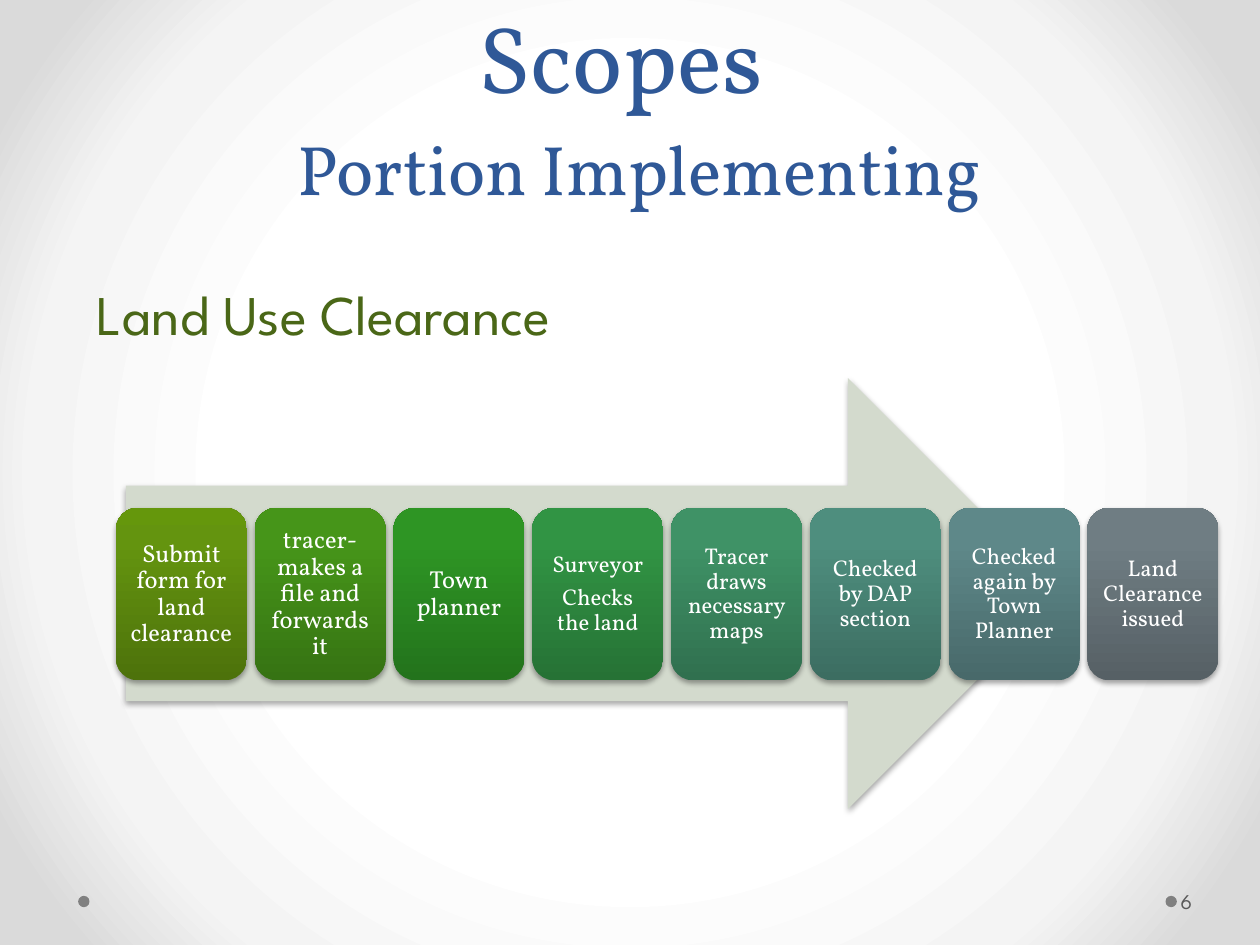
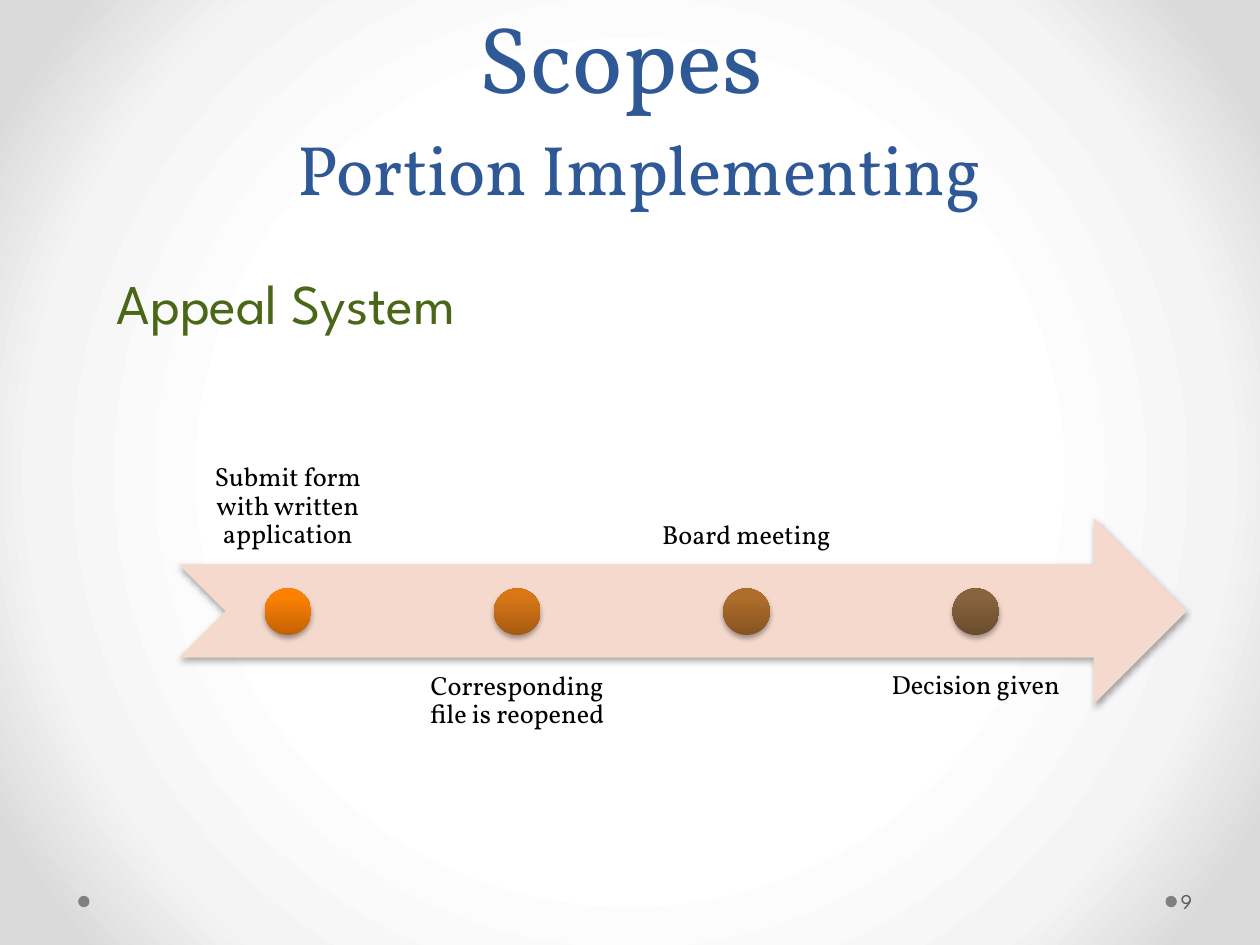
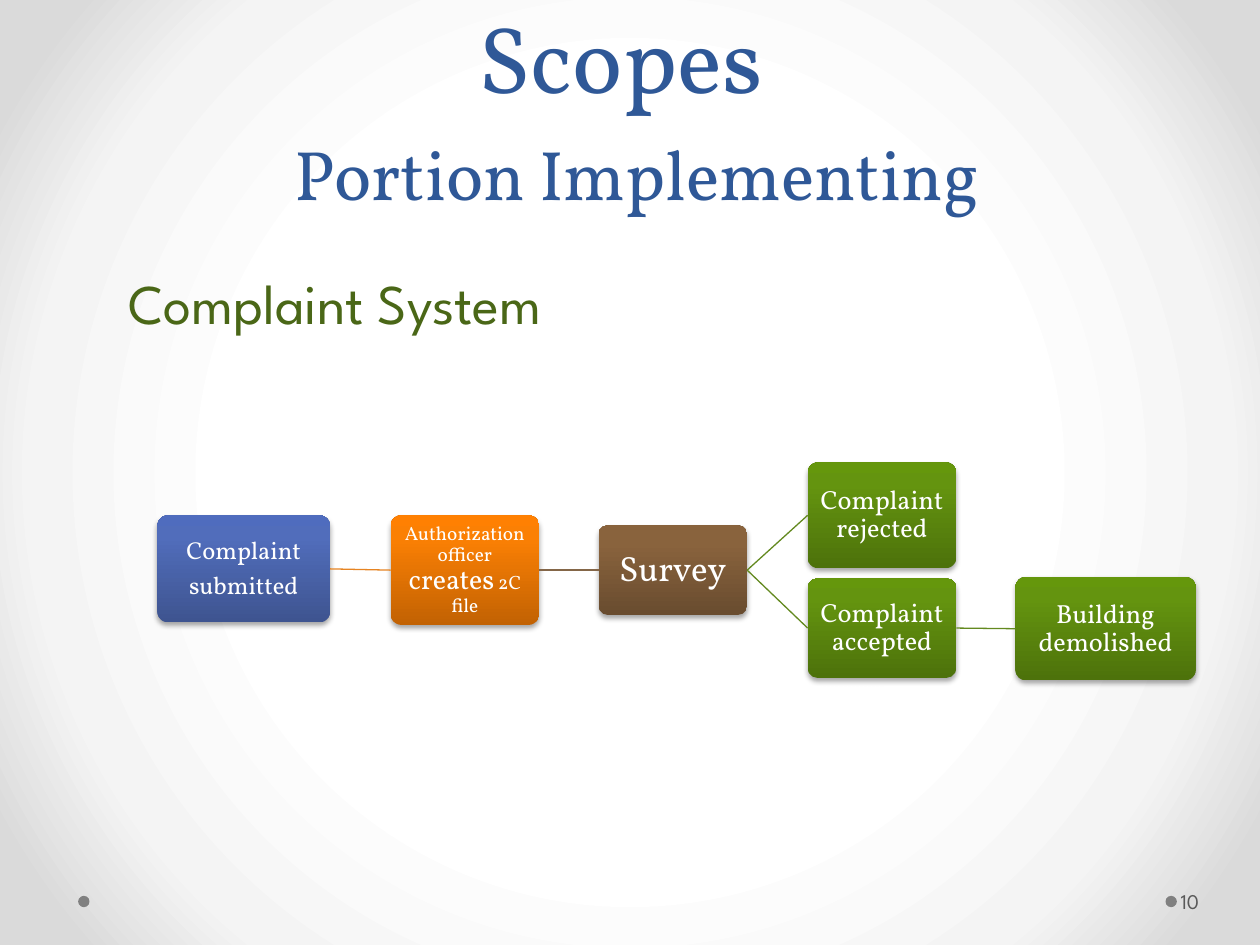
"""Build three slides on implementing land clearance, appeals and complaints."""
import dataclasses

import lxml.etree
import pptx
import pptx.dml.color
import pptx.enum.shapes
import pptx.enum.text
import pptx.oxml
import pptx.oxml.ns
import pptx.util

Inches = pptx.util.Inches
Pt = pptx.util.Pt
SHAPE = pptx.enum.shapes.MSO_SHAPE
ANCHOR = pptx.enum.text.MSO_ANCHOR
ALIGN = pptx.enum.text.PP_ALIGN


@dataclasses.dataclass(frozen=True)
class Theme:
    serif: str = "Vollkorn"
    sans: str = "League Spartan"
    title: str = "2F5897"
    heading: str = "4A6717"
    number: str = "595959"
    dot: str = "808080"
    light: str = "FFFFFF"
    dark: str = "000000"
    step_arrow: str = "D3DACD"
    timeline_arrow: str = "F5D9CD"
    title_size: int = 54
    subtitle_size: int = 40
    title_spacing: int = 58
    heading_size: int = 32
    label_size: int = 15
    number_size: int = 12
    line_width: float = 0.75


THEME = Theme()
BACKGROUND = ((50, "FFFFFF"), (76, "F4F4F4"), (92, "DADADA"))
BLUE = ("3E5490", "516DBB", "4F6CBE")
ORANGE = ("C26203", "FB8004", "FF8002")
BROWN = ("694C2F", "89633D", "8B633C")
GREEN = ("4D720B", "64940F", "65970C")

PAGES = [
    {"number": "6", "heading": "Land Use Clearance", "heading_box": (0.67, 2.17, 5.58, 0.64),
     "title": [("Scopes ", 54), "break", (" ", 54), ("Portion Implementing", 40)]},
    {"number": "9", "heading": "Appeal System", "heading_box": (0.83, 2.08, 3.46, 0.64),
     "title": [("Scopes ", 54), "break", (" ", 54), ("Portion Implementing", 40)]},
    {"number": "10", "heading": "Complaint System", "heading_box": (0.92, 2.08, 4.13, 0.64),
     "title": [("Scopes ", 54), "break", (" Portion Implementing", 40)]},
]
for page_content in PAGES:
    first, last = THEME.title_size, THEME.subtitle_size
    page_content["title"] = [
        part if part == "break" else (part[0], first if part[1] == 54 else last)
        for part in page_content["title"]
    ]

CLEARANCE_STEPS = [
    (["Submit form for land clearance"], 14, GREEN),
    (["tracer-makes a file and forwards it"], 14, ("367313", "469519", "469817")),
    (["Town planner"], 14, ("23731C", "2E9524", "2C9822")),
    (["Surveyor", "Checks the land"], 13, ("267235", "319444", "2F9743")),
    (["Tracer draws necessary maps"], 13, ("30704F", "3F9266", "3D9466")),
    (["Checked by DAP section"], 13, ("3C6D61", "4E8E7E", "4D907F")),
    (["Checked again by Town Planner"], 13, ("48696A", "5E8889", "5D898B")),
    (["Land Clearance issued"], 13, ("566065", "6F7D83", "6F7E84")),
]

APPEAL_STEPS = [
    ("Submit form with written application", ORANGE),
    ("Corresponding file is reopened", ("A65B11", "D77616", "DC7712")),
    ("Board meeting", ("865421", "AE6D2B", "B16D29")),
    ("Decision given", BROWN),
]

COMPLAINT_NODES = {
    "submitted": ((1.25, 4.09, 1.37, 0.85), BLUE, [[("Complaint", 14)], [("submitted", 14)]]),
    "officer": ((3.1, 4.09, 1.18, 0.87), ORANGE,
                [[("Authorization officer ", 11), ("creates", 16), (" 2C file", 11)]]),
    "survey": ((4.75, 4.17, 1.18, 0.71), BROWN, [[("Survey", 20)]]),
    "rejected": ((6.41, 3.67, 1.18, 0.84), GREEN, [[("Complaint rejected", 15)]]),
    "accepted": ((6.41, 4.59, 1.18, 0.79), GREEN, [[("Complaint accepted", 15)]]),
    "demolished": ((8.06, 4.58, 1.43, 0.82), GREEN, [[("Building demolished", 15)]]),
}
COMPLAINT_LINKS = [
    ("submitted", "officer", "E68422"),
    ("officer", "survey", "846648"),
    ("survey", "rejected", "63891F"),
    ("survey", "accepted", "63891F"),
    ("accepted", "demolished", "63891F"),
]


def color(code):
    return pptx.dml.color.RGBColor.from_string(code)


def place(box):
    return [Inches(length) for length in box]


def add_effect(parent, name, **attributes):
    return lxml.etree.SubElement(
        parent, pptx.oxml.ns.qn(name), {key: str(value) for key, value in attributes.items()})


def set_gradient(fill, owner, stops, radial=False):
    fill.solid()
    solid = owner.find(".//" + pptx.oxml.ns.qn("a:solidFill"))
    gradient = pptx.oxml.parse_xml(
        f'<a:gradFill {pptx.oxml.ns.nsdecls("a")} rotWithShape="1"><a:gsLst/></a:gradFill>')
    for position, code in stops:
        stop = add_effect(gradient[0], "a:gs", pos=position * 1000)
        add_effect(stop, "a:srgbClr", val=code)
    if radial:
        circle = add_effect(gradient, "a:path", path="circle")
        add_effect(circle, "a:fillToRect", l=50000, t=50000, r=50000, b=50000)
    else:
        add_effect(gradient, "a:lin", ang=270 * 60000, scaled=0)
    solid.getparent().replace(solid, gradient)


def add_shape(page, kind, box, paint, shadow=True):
    shape = page.shapes.add_shape(kind, *place(box))
    if isinstance(paint, str):
        shape.fill.solid()
        shape.fill.fore_color.rgb = color(paint)
    else:
        set_gradient(shape.fill, shape.element.spPr, zip((0, 80, 100), paint))
    shape.line.fill.background()
    shape.shadow.inherit = False
    if shadow:
        effects = shape.element.spPr.find(pptx.oxml.ns.qn("a:effectLst"))
        outer = add_effect(effects, "a:outerShdw", blurRad=Pt(3.1), dist=Pt(1.8),
                           dir=90 * 60000, rotWithShape=0)
        tint = add_effect(outer, "a:srgbClr", val=THEME.dark)
        add_effect(tint, "a:alpha", val=35000)
    return shape


def add_span(para, text, size, font, code):
    span = para.add_run()
    span.text = text
    span.font.size = Pt(size)
    span.font.name = font
    span.font.color.rgb = color(code)


def set_margins(frame, left, other):
    frame.margin_left = Inches(left)
    frame.margin_top = frame.margin_right = frame.margin_bottom = Inches(other)


def write_centered(shape, paragraphs, code, inset, anchor=ANCHOR.MIDDLE):
    frame = shape.text_frame
    frame.word_wrap = True
    frame.vertical_anchor = anchor
    set_margins(frame, inset, inset)
    for index, spans in enumerate(paragraphs):
        para = frame.add_paragraph() if index else frame.paragraphs[0]
        para.alignment = ALIGN.CENTER
        para.line_spacing = 0.9
        para.space_after = Pt(round(0.35 * spans[0][1]))
        for text, size in spans:
            add_span(para, text, size, THEME.serif, code)


def add_line_of_text(page, box, text, size, code):
    frame = page.shapes.add_textbox(*place(box)).text_frame
    frame.word_wrap = True
    add_span(frame.paragraphs[0], text, size, THEME.sans, code)
    return frame


def start_page(deck, layout, content):
    page = deck.slides.add_slide(layout)
    title = page.shapes.title
    title.left, title.top, title.width, title.height = place((0.5, 0, 9, 1.75))
    frame = title.text_frame
    frame.auto_size = pptx.enum.text.MSO_AUTO_SIZE.NONE
    frame.vertical_anchor = ANCHOR.BOTTOM
    para = frame.paragraphs[0]
    para.alignment = ALIGN.CENTER
    para.line_spacing = Pt(THEME.title_spacing)
    for part in content["title"]:
        if part == "break":
            para.add_line_break()
        else:
            add_span(para, *part, THEME.serif, THEME.title)
    add_line_of_text(page, content["heading_box"], content["heading"],
                     THEME.heading_size, THEME.heading)
    number = add_line_of_text(page, (9.34, 6.95, 0.61, 0.4), content["number"],
                              THEME.number_size, THEME.number)
    number.vertical_anchor = ANCHOR.MIDDLE
    set_margins(number, 0.03, 0.05)
    return page


def draw_clearance(page):
    add_shape(page, SHAPE.RIGHT_ARROW, (1, 3, 7.44, 3.42), THEME.step_arrow)
    for index, (lines, size, paint) in enumerate(CLEARANCE_STEPS):
        box = (0.92 + 1.1014 * index, 4.03, 1.04, 1.37)
        step = add_shape(page, SHAPE.ROUNDED_RECTANGLE, box, paint)
        write_centered(step, [[(line, size)] for line in lines], THEME.light,
                       0.06 if size == 14 else 0.05)


def draw_appeal(page):
    add_shape(page, SHAPE.NOTCHED_RIGHT_ARROW, (1.42, 4.11, 8, 1.48), THEME.timeline_arrow)
    width, height, marker = 1.73, 1.48, 0.37
    for index, (text, paint) in enumerate(APPEAL_STEPS):
        left = 1.42 + 1.82 * index
        below = index % 2 == 1
        label = page.shapes.add_textbox(*place((left, 5.22 if below else 3, width, height)))
        write_centered(label, [[(text, THEME.label_size)]], THEME.dark, 0.12,
                       ANCHOR.TOP if below else ANCHOR.BOTTOM)
        add_shape(page, SHAPE.OVAL, (left + (width - marker) / 2, 4.67, marker, marker), paint)


def draw_complaint(page):
    nodes = {}
    for name, (box, paint, paragraphs) in COMPLAINT_NODES.items():
        nodes[name] = add_shape(page, SHAPE.ROUNDED_RECTANGLE, box, paint)
        nodes[name].adjustments[0] = 0.1
        write_centered(nodes[name], paragraphs, THEME.light, 0.01)
    for source, target, code in COMPLAINT_LINKS:
        link = page.shapes.add_connector(pptx.enum.shapes.MSO_CONNECTOR.STRAIGHT, 0, 0, 0, 0)
        link.begin_connect(nodes[source], 3)
        link.end_connect(nodes[target], 1)
        link.line.color.rgb = color(code)
        link.line.width = Pt(THEME.line_width)
        add_effect(link.element.spPr, "a:effectLst")


deck = pptx.Presentation()
deck.slide_width, deck.slide_height = Inches(10), Inches(7.5)
layout = deck.slide_layouts[5]
master = deck.slide_master
set_gradient(master.background.fill, master.element, BACKGROUND, radial=True)

pages = [start_page(deck, layout, content) for content in PAGES]
for dot_left in (9.25, 0.62):
    dot = add_shape(pages[0], SHAPE.OVAL, (dot_left, 7.11, 0.09, 0.09), THEME.dot, shadow=False)
    layout.shapes.element.append(dot.element)
for page, draw in zip(pages, (draw_clearance, draw_appeal, draw_complaint)):
    draw(page)
deck.save("out.pptx")
